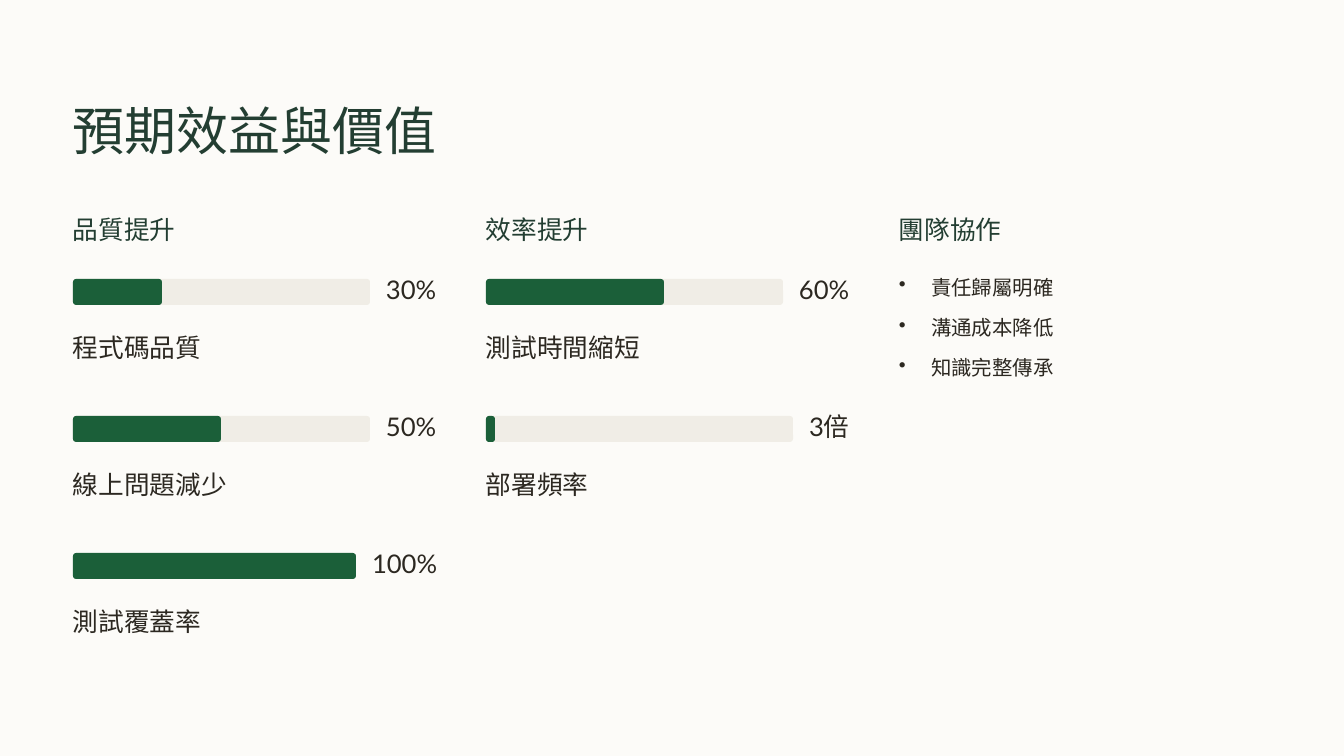
from dataclasses import dataclass

from lxml.etree import SubElement
from pptx import Presentation
from pptx.dml.color import RGBColor
from pptx.enum.shapes import MSO_SHAPE
from pptx.enum.text import MSO_ANCHOR, MSO_AUTO_SIZE, PP_ALIGN
from pptx.oxml.ns import qn
from pptx.util import Emu, Pt

PX = 914400 / 84
BACKGROUND, HEADING, BODY = "FCFBF8", "233E32", "2C2821"
TRACK, FILL = "F0EDE6", "1B5F39"
LEFT, COLUMN_STEP = 73, 413
BAR_TOP, ROW_STEP, BAR_HEIGHT = 279, 137, 26
BAR_RADIUS, VALUE_GAP, LABEL_OFFSET = 3, 16, 52


@dataclass(frozen=True)
class Metric:
    value: str
    label: str
    percent: int
    bar_width: int
    value_width: int


@dataclass(frozen=True)
class Column:
    heading: str
    metrics: tuple[Metric, ...] = ()
    bullets: tuple[str, ...] = ()


COLUMNS = (
    Column("品質提升", metrics=(
        Metric("30%", "程式碼品質", 30, 297, 49),
        Metric("50%", "線上問題減少", 50, 297, 49),
        Metric("100%", "測試覆蓋率", 100, 283, 63),
    )),
    Column("效率提升", metrics=(
        Metric("60%", "測試時間縮短", 60, 297, 49),
        Metric("3倍", "部署頻率", 3, 307, 39),
    )),
    Column("團隊協作", bullets=("責任歸屬明確", "溝通成本降低", "知識完整傳承")),
)


def px(n: float) -> Emu:
    return Emu(round(n * PX))


def rgb(color: str) -> RGBColor:
    return RGBColor.from_string(color)


def place(sp, x: int, y: int, w: int, h: int) -> None:
    sp.left, sp.top, sp.width, sp.height = px(x), px(y), px(w), px(h)


def set_text(sp, text: str, size: float, leading: float, color: str,
             font: str = "Lato") -> None:
    tf = sp.text_frame
    tf.text = text
    tf.word_wrap = False
    tf.auto_size = MSO_AUTO_SIZE.NONE
    tf.vertical_anchor = MSO_ANCHOR.TOP
    tf.margin_left = tf.margin_right = tf.margin_top = tf.margin_bottom = 0
    for p in tf.paragraphs:
        p.alignment = PP_ALIGN.LEFT
        p.line_spacing = Pt(leading)
        for r in p.runs:
            r.font.name = font
            r.font.size = Pt(size)
            r.font.color.rgb = rgb(color)


def add_text(s, text: str, x: int, y: int, w: int, h: int, color: str,
             leading: float = 27.5) -> None:
    sp = s.shapes.add_textbox(px(x), px(y), px(w), px(h))
    set_text(sp, text, 22, leading, color)


def add_bar(s, x: int, y: int, w: int, color: str) -> None:
    sp = s.shapes.add_shape(MSO_SHAPE.ROUNDED_RECTANGLE,
                            px(x), px(y), px(w), px(BAR_HEIGHT))
    sp.adjustments[0] = round(BAR_RADIUS / min(w, BAR_HEIGHT), 2)
    sp.shadow.inherit = False
    sp.fill.solid()
    sp.fill.fore_color.rgb = rgb(color)
    sp.line.fill.background()


def add_metric(s, metric: Metric, x: int, y: int) -> None:
    if metric.percent < 100:
        add_bar(s, x, y, metric.bar_width, TRACK)
    add_bar(s, x, y, round(metric.bar_width * metric.percent / 100), FILL)
    add_text(s, metric.value, x + metric.bar_width + VALUE_GAP, y,
             metric.value_width, BAR_HEIGHT, BODY, leading=22)
    add_text(s, metric.label, x, y + LABEL_OFFSET, 260, 33, BODY)


def add_bullets(s, bullets: tuple[str, ...], x: int, y: int) -> None:
    sp = s.shapes.add_textbox(px(x), px(y), px(374), px(115))
    set_text(sp, "\n".join(bullets), 17.5, 28.5, BODY, "Vollkorn")
    for i, p in enumerate(sp.text_frame.paragraphs):
        if i:
            p.space_before = Pt(6)
        pPr = p._p.get_or_add_pPr()
        pPr.set("marL", str(px(32)))
        pPr.set("indent", str(px(-32)))
        SubElement(pPr, qn("a:buChar"), char="•")


def main() -> None:
    prs = Presentation()
    prs.slide_width, prs.slide_height = px(1344), px(756)
    s = prs.slides.add_slide(prs.slide_layouts[5])
    s.background.fill.solid()
    s.background.fill.fore_color.rgb = rgb(BACKGROUND)

    title = s.shapes.title
    place(title, LEFT, 96, 521, 66)
    set_text(title, "預期效益與價值", 44.5, 55.5, HEADING)

    for i, column in enumerate(COLUMNS):
        x = LEFT + i * COLUMN_STEP
        add_text(s, column.heading, x, 213, 260, 33, HEADING)
        for row, metric in enumerate(column.metrics):
            add_metric(s, metric, x, BAR_TOP + row * ROW_STEP)
        if column.bullets:
            add_bullets(s, column.bullets, x, 266)

    prs.save("out.pptx")


if __name__ == "__main__":
    main()
